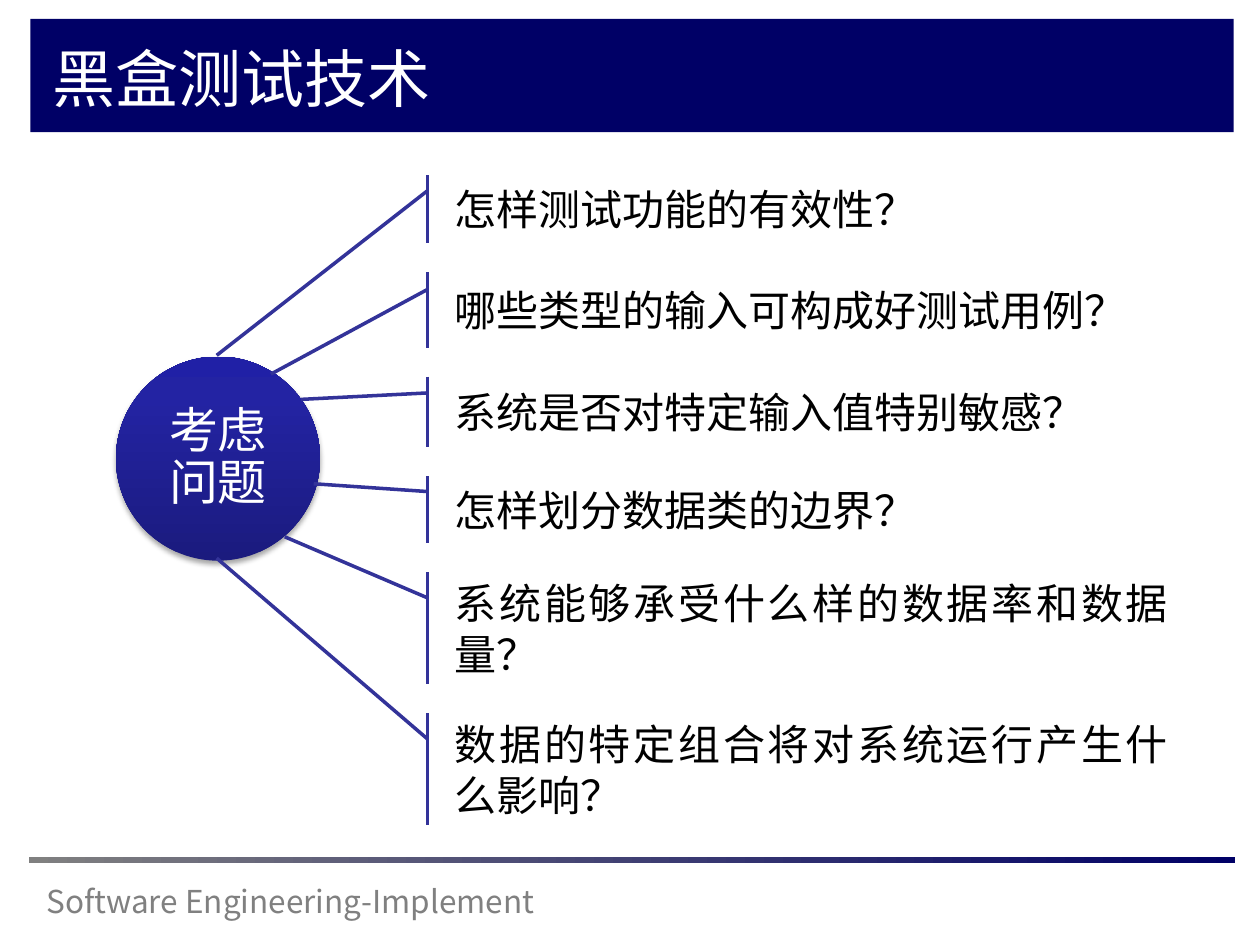
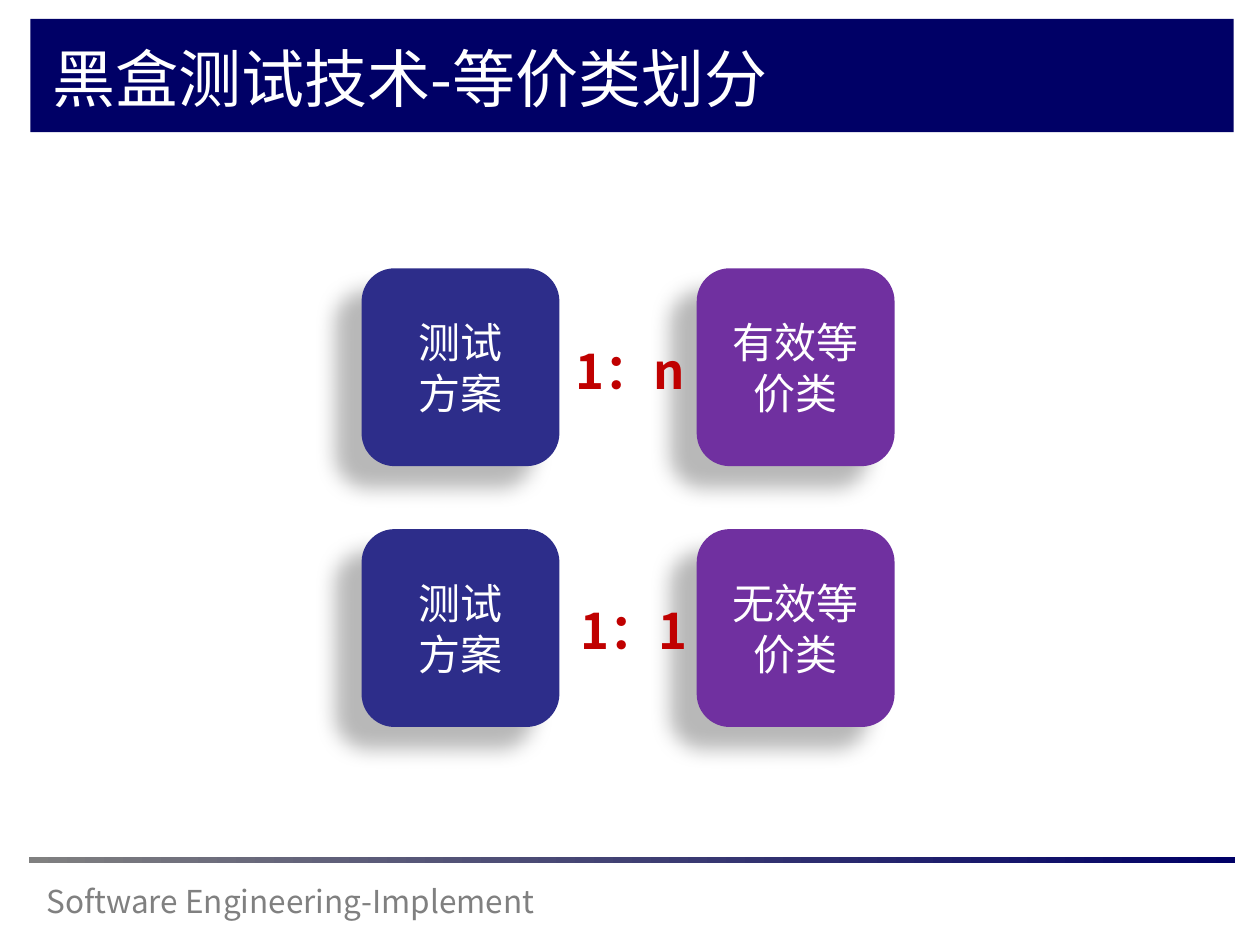
from dataclasses import dataclass
from lxml.etree import SubElement
from pptx import Presentation
from pptx.dml.color import RGBColor as Rgb
from pptx.enum.shapes import MSO_SHAPE as Shape
from pptx.enum.text import MSO_ANCHOR as Anchor, MSO_AUTO_SIZE as Fit, PP_ALIGN as Align
from pptx.oxml import parse_xml
from pptx.oxml.ns import nsdecls, qn
from pptx.util import Inches, Pt


@dataclass(frozen=True)
class Theme:
    font: str = "Noto Sans CJK SC"
    navy: str = "000066"
    gray: str = "808080"
    white: str = "FFFFFF"
    black: str = "000000"
    rule: str = "333399"
    blue: str = "2D2D8A"
    plum: str = "7030A0"
    red: str = "C00000"
    ball: tuple = ((0, "1B1B7E"), (80, "2323A3"), (100, "2020A6"))
    head: int = 36
    big: int = 28
    body: int = 24
    foot: int = 18


class Deck:
    def __init__(self, theme):
        self.theme = theme
        self.file = Presentation()
        self.file.slide_width = Inches(10)
        self.file.slide_height = Inches(7.5)
        self.base = self.file.slide_layouts[5]
        self.page = None

    def slide(self, title):
        first = self.page is None
        self.page = self.file.slides.add_slide(self.base)
        if first:
            self.frame()
        head = self.page.shapes.title
        head.left, head.top, head.width, head.height = map(Inches, (0.32, 0.26, 8.81, 0.74))
        self.label(head, [title], self.theme.head, self.theme.white)

    def frame(self):
        look = self.theme
        band = self.shape(Shape.RECTANGLE, (0.24, 0.15, 9.55, 0.9), look.navy)
        foot = self.text((0.27, 6.95, 5.17, 0.4), "Software Engineering-Implement",
                         look.foot, look.gray)
        rule = self.shape(Shape.RECTANGLE, (0.23, 6.8, 9.57, 0.05))
        self.blend(rule, ((0, look.gray), (100, look.navy)), 0)
        for item in (band, foot, rule):
            self.base.shapes._spTree.append(item._element)

    def label(self, shape, lines, size, color, align=Align.LEFT, anchor=Anchor.TOP,
              bold=False, space=None, pad=None):
        frame = shape.text_frame
        frame.word_wrap = True
        frame.auto_size = Fit.NONE
        frame.vertical_anchor = anchor
        if pad is not None:
            frame.margin_left = frame.margin_right = Inches(pad)
            frame.margin_top = frame.margin_bottom = Inches(pad)
        for spot, line in enumerate(lines):
            para = frame.add_paragraph() if spot else frame.paragraphs[0]
            para.alignment = align
            if space:
                para.line_spacing = space
            run = para.add_run()
            run.text = line
            run.font.size = Pt(size)
            run.font.bold = bold
            run.font.color.rgb = Rgb.from_string(color)
            run.font.name = self.theme.font
            SubElement(run._r.get_or_add_rPr(), qn("a:ea"), typeface=self.theme.font)

    def text(self, box, line, size, color, **style):
        area = self.page.shapes.add_textbox(*map(Inches, box))
        self.label(area, [line], size, color, **style)
        return area

    def shape(self, kind, box, fill=None):
        item = self.page.shapes.add_shape(kind, *map(Inches, box))
        item.shadow.inherit = False
        item.line.fill.background()
        if fill:
            item.fill.solid()
            item.fill.fore_color.rgb = Rgb.from_string(fill)
        return item

    def blend(self, item, stops, turn):
        marks = "".join(f'<a:gs pos="{spot * 1000}"><a:srgbClr val="{color}"/></a:gs>'
                        for spot, color in stops)
        fill = parse_xml(f'<a:gradFill {nsdecls("a")} rotWithShape="1"><a:gsLst>{marks}'
                         f'</a:gsLst><a:lin ang="{turn * 60000}" scaled="0"/></a:gradFill>')
        item._element.spPr.find(qn("a:prstGeom")).addnext(fill)

    def shade(self, item, alpha, blur, dist, turn):
        glow = parse_xml(f'<a:outerShdw {nsdecls("a")} blurRad="{Pt(blur)}" dist="{Pt(dist)}" '
                         f'dir="{turn * 60000}" algn="ctr" rotWithShape="0">'
                         f'<a:srgbClr val="{self.theme.black}"><a:alpha val="{alpha * 1000}"/>'
                         '</a:srgbClr></a:outerShdw>')
        item._element.spPr.find(qn("a:effectLst")).append(glow)

    def ball(self, box, line):
        item = self.shape(Shape.OVAL, box)
        self.blend(item, self.theme.ball, 270)
        self.shade(item, 35, 3.1, 1.8, 90)
        left, top, wide, high = box
        inset = 0.24
        self.text((left + inset, top + inset, wide - 2 * inset, high - 2 * inset), line,
                  self.theme.big, self.theme.white, align=Align.CENTER,
                  anchor=Anchor.MIDDLE, space=0.9, pad=0.05)

    def callout(self, box, tip, line):
        left, top, wide, high = box
        item = self.shape(Shape.LINE_CALLOUT_1_ACCENT_BAR, box, self.theme.white)
        item.line.color.rgb = Rgb.from_string(self.theme.rule)
        item.line.width = Pt(2)
        ends = (0.23, -0.02, (tip[1] - top) / high, (tip[0] - left) / wide)
        for spot, value in enumerate(ends):
            item.adjustments[spot] = value
        self.label(item, [line], self.theme.body, self.theme.black,
                   align=Align.JUSTIFY, anchor=Anchor.MIDDLE)

    def card(self, left, top, lines, fill):
        item = self.shape(Shape.ROUNDED_RECTANGLE, (left, top, 1.57, 1.57), fill)
        self.shade(item, 28, 11.8, 19.7, 141)
        self.label(item, lines, self.theme.body, self.theme.white,
                   align=Align.CENTER, anchor=Anchor.MIDDLE)


def ask(deck):
    deck.slide("黑盒测试技术")
    deck.ball((0.92, 2.83, 1.62, 1.62), "考虑问题")
    asks = (
        ("怎样测试功能的有效性？", 0.54, (1.72, 2.82)),
        ("哪些类型的输入可构成好测试用例？", 0.6, (2.15, 2.97)),
        ("系统是否对特定输入值特别敏感？", 0.56, (2.39, 3.17)),
        ("怎样划分数据类的边界？", 0.53, (2.49, 3.84)),
        ("系统能够承受什么样的数据率和数据量？", 0.89, (2.26, 4.26)),
        ("数据的特定组合将对系统运行产生什么影响？", 0.89, (1.72, 4.43)),
    )
    top, gap = 1.39, 0.23
    for line, high, tip in asks:
        deck.callout((3.51, top, 5.86, high), tip, line)
        top += high + gap


def split(deck):
    look = deck.theme
    deck.slide("黑盒测试技术-等价类划分")
    rows = ((2.13, "有效等价类", "1：n", 4.45), (4.2, "无效等价类", "1：1", 4.47))
    for top, group, ratio, left in rows:
        deck.card(2.87, top, ["测试", "方案"], look.blue)
        deck.card(5.53, top, [group], look.plum)
        deck.text((left, top + 0.52, 1.08, 0.57), ratio, look.big, look.red,
                  align=Align.RIGHT, bold=True)


def main():
    deck = Deck(Theme())
    ask(deck)
    split(deck)
    deck.file.save("out.pptx")


if __name__ == "__main__":
    main()
